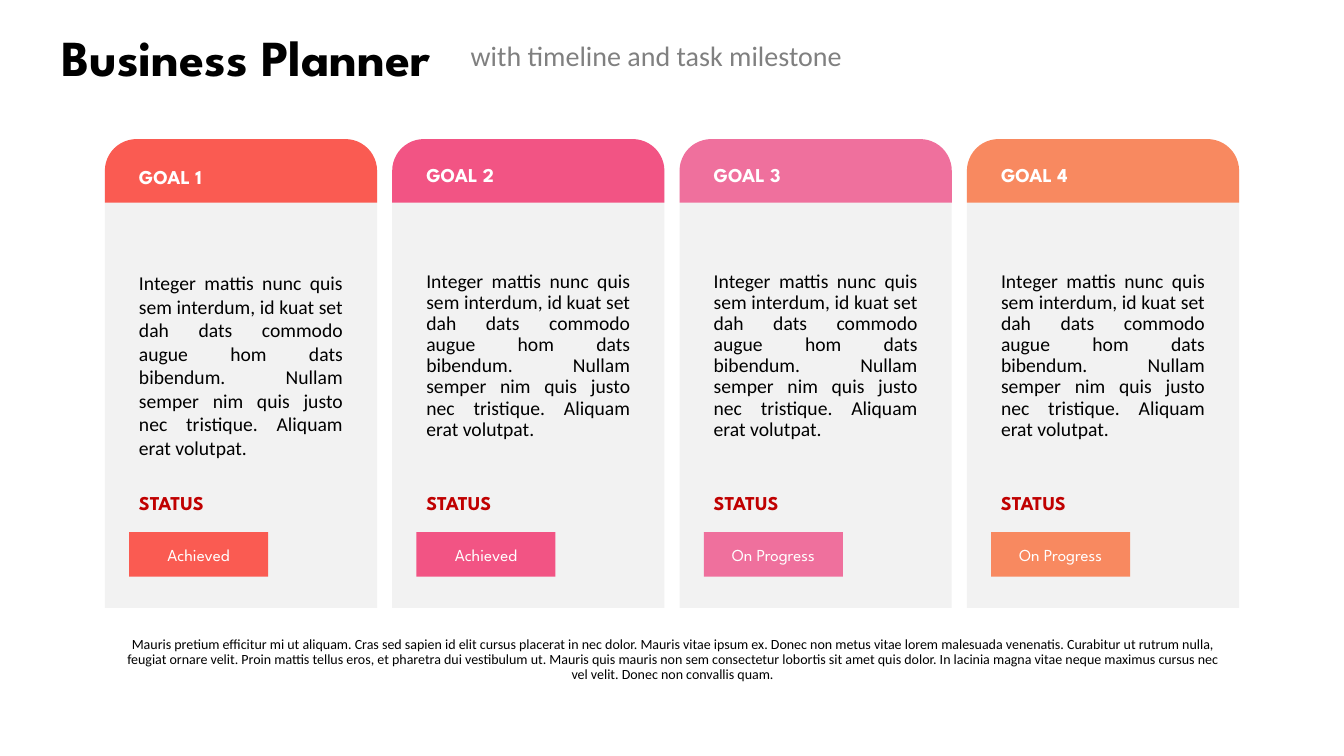
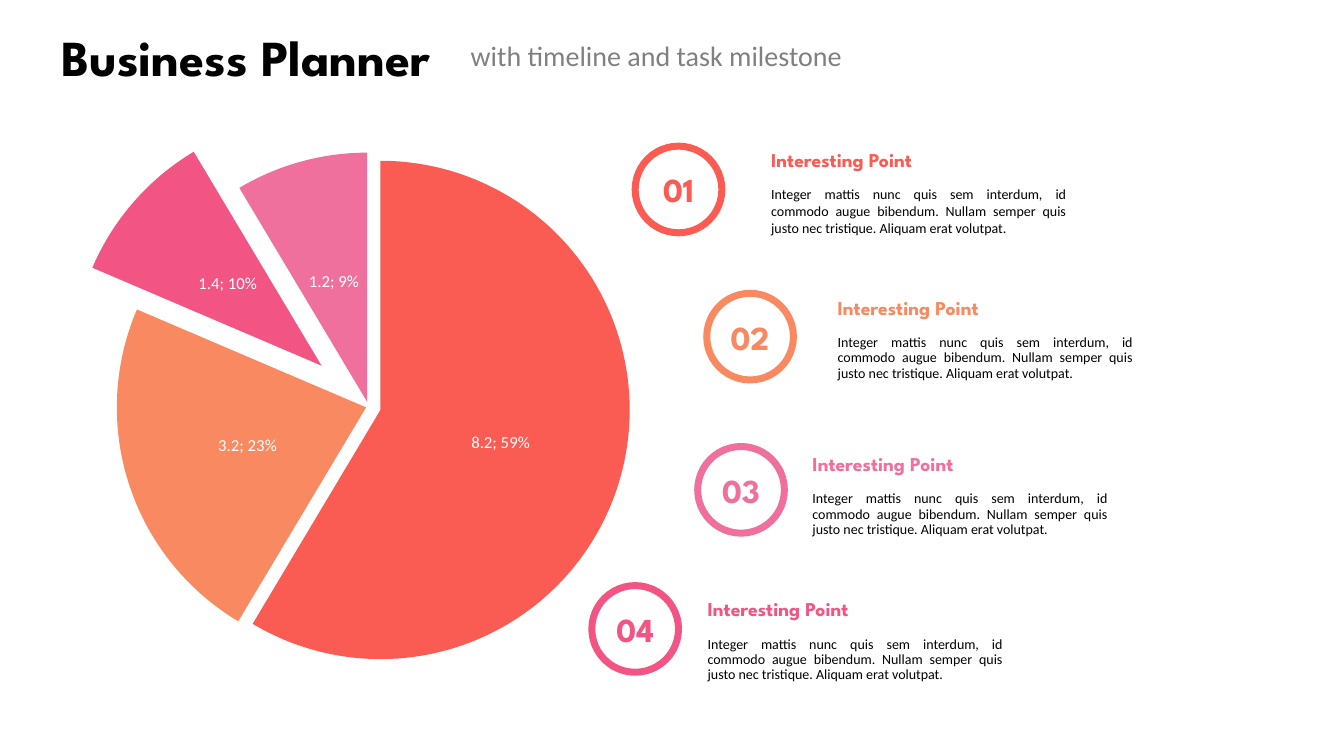
"""Build a two-slide business planner with goal cards and an exploded pie."""
import dataclasses

import lxml.etree
import pptx
import pptx.chart.data
import pptx.dml.color
import pptx.enum.chart
import pptx.enum.shapes
import pptx.enum.text
import pptx.oxml.ns
import pptx.util

Inches = pptx.util.Inches
Align = pptx.enum.text.PP_ALIGN
Anchor = pptx.enum.text.MSO_ANCHOR
Preset = pptx.enum.shapes.MSO_SHAPE


@dataclasses.dataclass(frozen=True)
class Theme:
    """Colours, fonts and type sizes of the planner."""
    coral: str = "FA5B52"
    magenta: str = "F25484"
    pink: str = "EF709D"
    orange: str = "F88960"
    black: str = "000000"
    white: str = "FFFFFF"
    grey: str = "808080"
    panel: str = "F2F2F2"
    status: str = "C00000"
    heading_font: str = "League Spartan"
    body_font: str = "Calibri"
    title_size: int = 36
    number_size: int = 24
    subtitle_size: int = 20
    body_size: int = 14
    label_size: int = 12
    small_size: int = 10
    ring_width: int = 5
    tight: float = 0.9


def rgb(colour):
    """Turn a hexadecimal string into a colour."""
    return pptx.dml.color.RGBColor.from_string(colour)


class Planner:
    """Hold the theme and the current slide, and draw each kind of element."""

    def __init__(self, theme):
        """Start an empty widescreen presentation."""
        self.theme = theme
        self.presentation = pptx.Presentation()
        self.presentation.slide_width = Inches(13.33)
        self.presentation.slide_height = Inches(7.5)
        self.slide = None

    def add_slide(self):
        """Add a blank slide with the shared title and subtitle."""
        theme = self.theme
        self.slide = self.presentation.slides.add_slide(self.presentation.slide_layouts[6])
        self.heading("Business Planner", (0.32, 0.26, 4.24, 0.6), theme.black,
                     size=theme.title_size, align=Align.CENTER, anchor=Anchor.MIDDLE)
        self.text("with timeline and task milestone", (4.57, 0.33, 4.7, 0.44),
                  theme.subtitle_size, theme.grey, anchor=Anchor.MIDDLE)

    def fill_text(self, shape, text, size, colour, font=None, bold=False,
                  align=Align.LEFT, anchor=Anchor.TOP, spacing=None, wrap=True):
        """Put one styled paragraph into a shape."""
        frame = shape.text_frame
        frame.word_wrap = wrap
        frame.vertical_anchor = anchor
        paragraph = frame.paragraphs[0]
        paragraph.alignment = align
        paragraph.line_spacing = spacing
        run = paragraph.add_run()
        run.text = text
        run.font.name = font or self.theme.body_font
        run.font.size = pptx.util.Pt(size)
        run.font.bold = bold
        run.font.color.rgb = rgb(colour)

    def text(self, text, box, size, colour, **style):
        """Add a text box."""
        shape = self.slide.shapes.add_textbox(*map(Inches, box))
        self.fill_text(shape, text, size, colour, **style)

    def heading(self, text, box, colour, size=None, **style):
        """Add a bold text box in the heading font."""
        self.text(text, box, size or self.theme.body_size, colour,
                  font=self.theme.heading_font, bold=True, **style)

    def block(self, preset, box, colour):
        """Add a filled shape without an outline."""
        shape = self.slide.shapes.add_shape(preset, *map(Inches, box))
        shape.shadow.inherit = False
        shape.fill.solid()
        shape.fill.fore_color.rgb = rgb(colour)
        shape.line.fill.background()
        return shape

    def badge(self, text, box, colour):
        """Add a filled rectangle with a centred label."""
        shape = self.block(Preset.RECTANGLE, box, colour)
        self.fill_text(shape, text, self.theme.label_size, self.theme.white,
                       font=self.theme.heading_font, align=Align.CENTER, anchor=Anchor.MIDDLE)

    def ring(self, text, left, top, colour):
        """Add an outlined circle around a number."""
        shape = self.block(Preset.OVAL, (left, top, 0.86, 0.86), colour)
        shape.fill.background()
        shape.line.color.rgb = rgb(colour)
        shape.line.width = pptx.util.Pt(self.theme.ring_width)
        self.fill_text(shape, text, self.theme.number_size, colour,
                       font=self.theme.heading_font, bold=True, align=Align.CENTER,
                       anchor=Anchor.MIDDLE, wrap=False)

    def goal_card(self, left, title, description, status, colour, spacing):
        """Add a goal with its header, description and status."""
        theme = self.theme
        inner = left + 0.24
        self.block(Preset.RECTANGLE, (left, 1.69, 2.7, 4.34), theme.panel)
        header = self.block(Preset.ROUND_2_SAME_RECTANGLE, (left, 1.38, 2.7, 0.63), colour)
        header.adjustments[0] = 0.5
        self.heading(title, (inner, 1.59, 2.22, 0.34), theme.white, spacing=spacing)
        self.text(description, (inner, 2.64, 2.22, 1.11), theme.body_size, theme.black,
                  align=Align.JUSTIFY, spacing=spacing)
        self.heading("STATUS", (inner, 4.85, 1.17, 0.34), theme.status, spacing=theme.tight)
        self.badge(status, (inner, 5.28, 1.38, 0.44), colour)

    def point(self, number, circle, corner, colour, description, spacing):
        """Add a numbered point with heading and description."""
        left, top = corner
        self.ring(f"{number:02d}", *circle, colour)
        self.heading("Interesting Point", (left, top, 3.12, 0.34), colour, spacing=spacing)
        self.text(description, (left, top + 0.37, 3.12, 0.61), self.theme.small_size,
                  self.theme.black, align=Align.JUSTIFY, spacing=spacing)

    def pie(self, box, slices, layout):
        """Add a pie from values, colours and explosion percentages."""
        theme = self.theme
        qualified = pptx.oxml.ns.qn
        data = pptx.chart.data.CategoryChartData()
        data.categories = [str(number) for number in range(1, len(slices) + 1)]
        data.add_series("Series 1", [value for value, _, _ in slices])
        chart = self.slide.shapes.add_chart(
            pptx.enum.chart.XL_CHART_TYPE.PIE, *map(Inches, box), data).chart
        chart.has_legend = False
        chart.has_title = False
        chart.font.name = theme.body_font
        chart.font.size = pptx.util.Pt(theme.small_size)
        chart.font.color.rgb = rgb(theme.black)
        plot = chart.plots[0]
        plot.vary_by_categories = True
        series = plot.series[0]

        for index, (_, colour, _) in enumerate(slices):
            fill = series.points[index].format.fill
            fill.solid()
            fill.fore_color.rgb = rgb(colour)
        chart_space = plot._element.getroottree().getroot()
        for element, (_, _, explosion) in zip(chart_space.iter(qualified("c:dPt")), slices):
            offset = lxml.etree.Element(qualified("c:explosion"), val=str(explosion))
            element.find(qualified("c:spPr")).addprevious(offset)

        labels = series.data_labels
        labels.show_value = True
        labels.show_percentage = True
        labels.position = pptx.enum.chart.XL_LABEL_POSITION.CENTER
        labels.font.name = theme.body_font
        labels.font.size = pptx.util.Pt(theme.label_size)
        labels.font.color.rgb = rgb(theme.white)
        separator = lxml.etree.Element(qualified("c:separator"))
        separator.text = "; "
        next(chart_space.iter(qualified("c:showBubbleSize"))).addnext(separator)

        area = next(chart_space.iter(qualified("c:plotArea")))
        previous = area.find(qualified("c:layout"))
        if previous is not None:
            area.remove(previous)
        holder = lxml.etree.Element(qualified("c:layout"))
        manual = lxml.etree.SubElement(holder, qualified("c:manualLayout"))
        settings = {"layoutTarget": "inner", "xMode": "edge", "yMode": "edge",
                    **dict(zip("xywh", layout))}
        for name, value in settings.items():
            lxml.etree.SubElement(manual, qualified(f"c:{name}"), val=str(value))
        area.insert(0, holder)


def main():
    """Build and save both slides."""
    theme = Theme()
    planner = Planner(theme)

    planner.add_slide()
    goals = [
        ("Achieved", theme.coral),
        ("Achieved", theme.magenta),
        ("On Progress", theme.pink),
        ("On Progress", theme.orange),
    ]
    goal_text = (
        "Integer mattis nunc quis sem interdum, id kuat set dah dats commodo augue hom dats "
        "bibendum. Nullam semper nim quis justo nec tristique. Aliquam erat volutpat."
    )
    for index, (status, colour) in enumerate(goals):
        planner.goal_card(1.04 + 2.85 * index, f"GOAL {index + 1}", goal_text, status, colour,
                          theme.tight if index else None)
    planner.text(
        "Mauris pretium efficitur mi ut aliquam. Cras sed sapien id elit cursus placerat in nec "
        "dolor. Mauris vitae ipsum ex. Donec non metus vitae lorem malesuada venenatis. Curabitur "
        "ut rutrum nulla, feugiat ornare velit. Proin mattis tellus eros, et pharetra dui "
        "vestibulum ut. Mauris quis mauris non sem consectetur lobortis sit amet quis dolor. In "
        "lacinia magna vitae neque maximus cursus nec vel velit. Donec non convallis quam.",
        (1.12, 6.27, 11.1, 0.61), theme.small_size, theme.black,
        align=Align.CENTER, spacing=theme.tight)

    planner.add_slide()
    slices = [
        (8.2, theme.coral, 5),
        (3.2, theme.orange, 1),
        (1.4, theme.magenta, 25),
        (1.2, theme.pink, 2),
    ]
    planner.pie((0.64, 1.02, 6.03, 6.03), slices, (0.09, 0.09, 0.82, 0.82))
    points = [
        ((6.3, 1.45), (7.55, 1.42), theme.coral),
        ((7.01, 2.91), (8.21, 2.91), theme.orange),
        ((6.92, 4.43), (7.96, 4.46), theme.pink),
        ((5.87, 5.81), (6.92, 5.9), theme.magenta),
    ]
    point_text = (
        "Integer mattis nunc quis sem interdum, id commodo augue bibendum. Nullam semper quis "
        "justo nec tristique. Aliquam erat volutpat."
    )
    for number, (circle, corner, colour) in enumerate(points, start=1):
        planner.point(number, circle, corner, colour, point_text,
                      theme.tight if number > 1 else None)

    planner.presentation.save("out.pptx")


if __name__ == "__main__":
    main()
